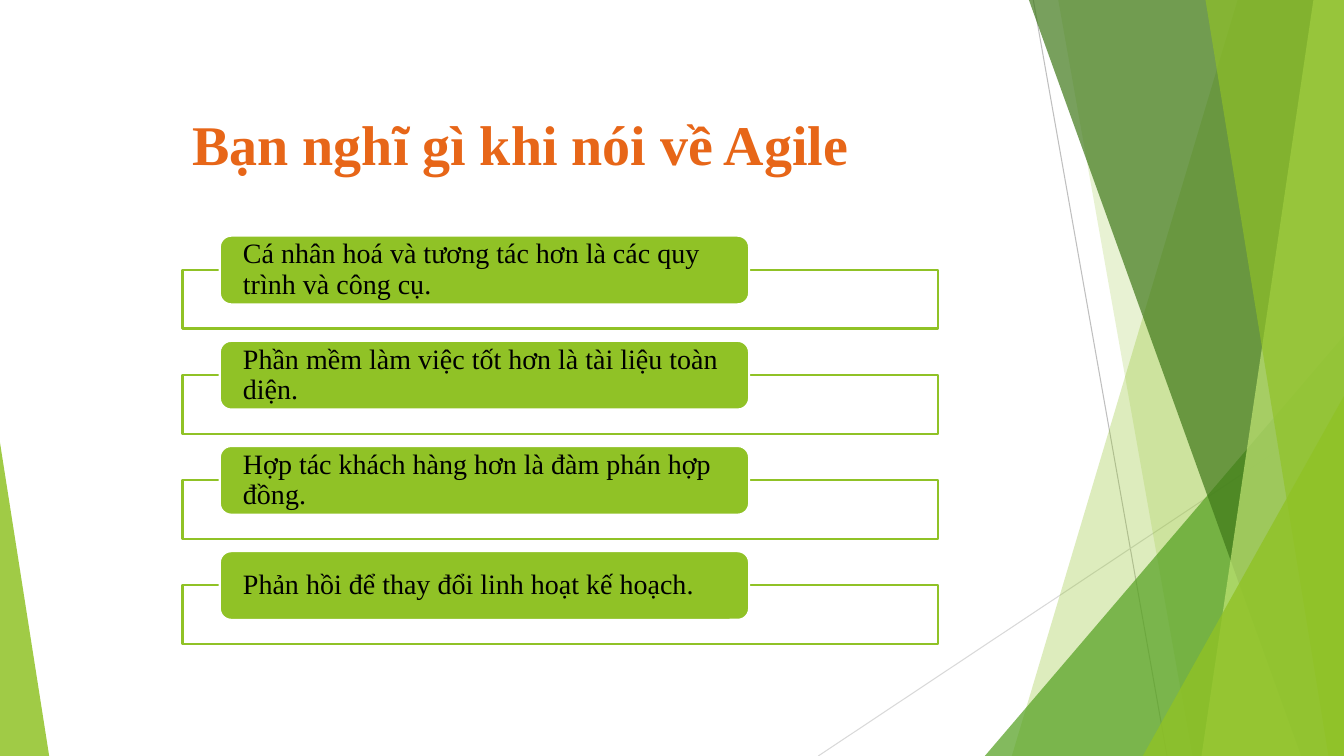
from pptx import Presentation
from pptx.dml.color import RGBColor
from pptx.enum.shapes import MSO_CONNECTOR, MSO_SHAPE
from pptx.enum.text import MSO_ANCHOR, MSO_AUTO_SIZE, PP_ALIGN
from pptx.oxml.ns import qn
from pptx.util import Cm, Pt
from lxml.etree import SubElement

WIDTH, HEIGHT = 33.87, 19.05
GREEN = "90C226"
FONT = "Times New Roman"
PRINCIPLES = [
    "Cá nhân hoá và tương tác hơn là các quy trình và công cụ.",
    "Phần mềm làm việc tốt hơn là tài liệu toàn diện.",
    "Hợp tác khách hàng hơn là đàm phán hợp đồng.",
    "Phản hồi để thay đổi linh hoạt kế hoạch.",
]


def rgb(color):
    """Turn a hex string into a colour."""
    return RGBColor.from_string(color)


def paint(s, color, opacity=100, line=None):
    """Give a shape its fill, opacity and outline."""
    s.shadow.inherit = False
    s.fill.solid()
    s.fill.fore_color.rgb = rgb(color)
    if opacity < 100:
        clr = s.fill._xPr.find(qn("a:solidFill"))[0]
        SubElement(clr, qn("a:alpha"), val=str(opacity * 1000))
    if line:
        s.line.color.rgb = rgb(line)
        s.line.width = Pt(1.5)
    else:
        s.line.fill.background()


def add_line(shapes, x1, y1, x2, y2, color):
    """Draw a thin straight line."""
    s = shapes.add_connector(MSO_CONNECTOR.STRAIGHT, Cm(x1), Cm(y1), Cm(x2), Cm(y2))
    s.line.color.rgb = rgb(color)
    s.line.width = Pt(0.75)
    SubElement(s._element.spPr, qn("a:effectLst"))


def add_facet(shapes, top_x, bottom_x, color, opacity):
    """Fill the area from a slanted edge to the right side of the slide."""
    fb = shapes.build_freeform(Cm(top_x), 0)
    corners = [(WIDTH, 0), (WIDTH, HEIGHT), (bottom_x, HEIGHT)]
    fb.add_line_segments([(Cm(x), Cm(y)) for x, y in corners])
    paint(fb.convert_to_shape(), color, opacity)


def add_triangle(shapes, x, y, w, apex, color, opacity):
    """Draw a triangle that stands on the bottom edge of the slide."""
    s = shapes.add_shape(MSO_SHAPE.ISOSCELES_TRIANGLE, Cm(x), Cm(y), Cm(w), Cm(HEIGHT - y))
    s.adjustments[0] = apex
    paint(s, color, opacity)


def write(tf, text, size, color, bold=False):
    """Write one left-aligned paragraph and return it."""
    p = tf.paragraphs[0]
    p.text = text
    p.alignment = PP_ALIGN.LEFT
    p.font.name = FONT
    p.font.size = Pt(size)
    p.font.bold = bold
    p.font.color.rgb = rgb(color)
    return p


def add_title(shapes, text):
    """Add the slide title."""
    tf = shapes.add_textbox(Cm(4.6), Cm(2.64), Cm(17.22), Cm(1.96)).text_frame
    tf.word_wrap = False
    tf.auto_size = MSO_AUTO_SIZE.SHAPE_TO_FIT_TEXT
    write(tf, text, 40, "E76618", bold=True)


def add_principle(shapes, y, text):
    """Add a framed row with its rounded label."""
    frame = shapes.add_shape(MSO_SHAPE.RECTANGLE, Cm(4.6), Cm(y + 0.86), Cm(19.05), Cm(1.48))
    paint(frame, "FFFFFF", 90, GREEN)
    label = shapes.add_shape(MSO_SHAPE.ROUNDED_RECTANGLE, Cm(5.54), Cm(y), Cm(13.34), Cm(1.73))
    paint(label, GREEN, line="FFFFFF")
    tf = label.text_frame
    tf.word_wrap = True
    tf.vertical_anchor = MSO_ANCHOR.MIDDLE
    tf.margin_left = tf.margin_right = Cm(0.5)
    tf.margin_top = tf.margin_bottom = 0
    write(tf, text, 20, "000000").line_spacing = 0.9


def add_backdrop(shapes):
    """Draw the green facets at both sides of the slide."""
    add_line(shapes, 26.04, 0, 29.41, HEIGHT, "BFBFBF")
    add_line(shapes, WIDTH, 10.24, 20.62, HEIGHT, "D9D9D9")
    add_facet(shapes, 31.19, 25.5, GREEN, 30)
    add_facet(shapes, 26.67, 30.05, GREEN, 20)
    add_triangle(shapes, 24.82, 8.46, 9.05, 1, "54A021", 72)
    add_facet(shapes, 25.93, 32.79, "3F7819", 70)
    add_facet(shapes, 33.1, 30.28, "C0E474", 70)
    add_facet(shapes, 30.38, 33.48, GREEN, 65)
    add_triangle(shapes, 28.8, 9.98, 5.07, 1, GREEN, 80)
    add_triangle(shapes, 0, 11.15, 1.24, 0, GREEN, 85)


def main():
    """Build the slide and save it."""
    prs = Presentation()
    prs.slide_width, prs.slide_height = Cm(WIDTH), Cm(HEIGHT)
    shapes = prs.slides.add_slide(prs.slide_layouts[6]).shapes
    add_backdrop(shapes)
    add_title(shapes, "Bạn nghĩ gì khi nói về Agile")
    for i, text in enumerate(PRINCIPLES):
        add_principle(shapes, 5.94 + i * 2.65, text)
    prs.save("out.pptx")


if __name__ == "__main__":
    main()
